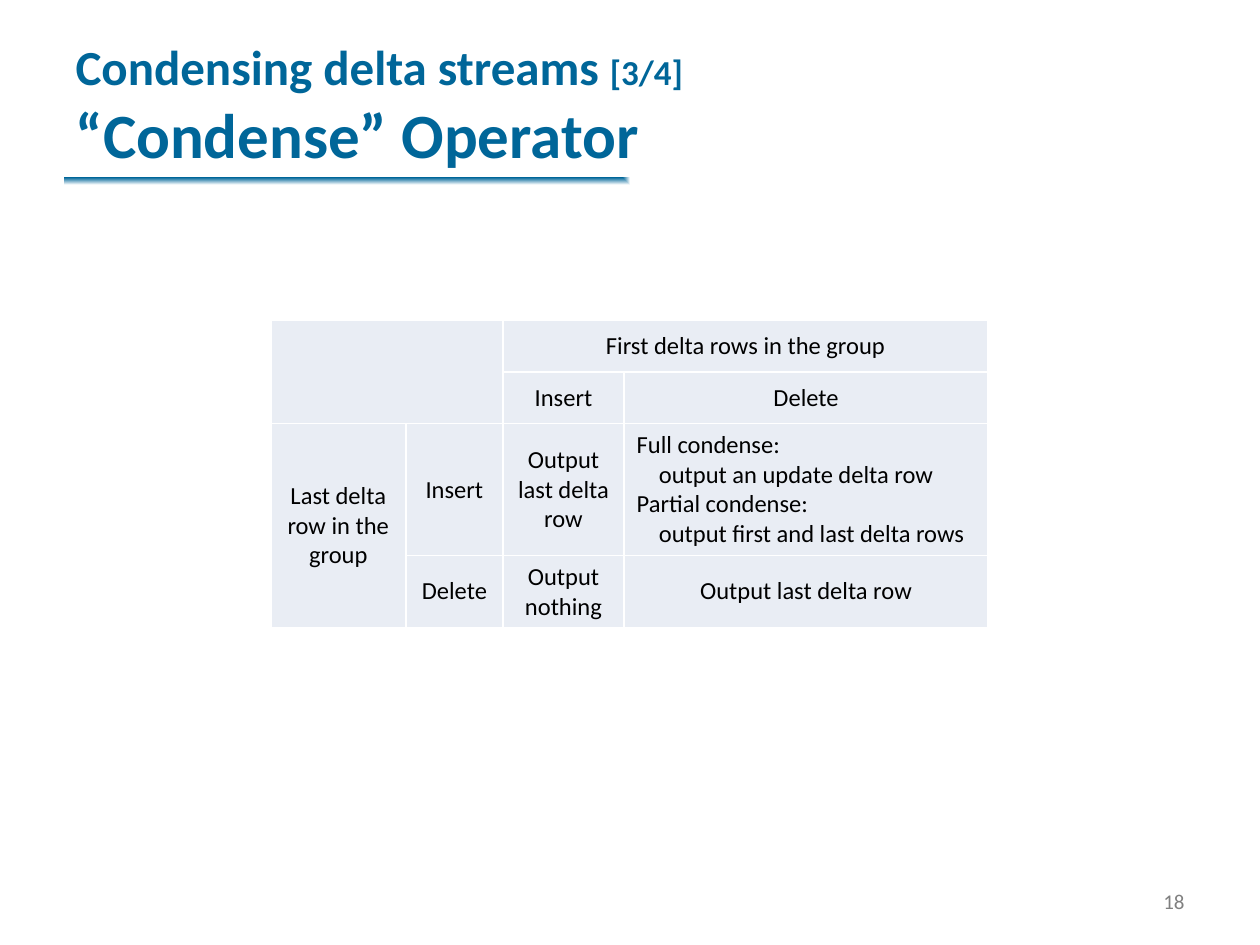
from dataclasses import dataclass

from pptx import Presentation, oxml
from pptx.dml.color import RGBColor
from pptx.enum import shapes, text
from pptx.oxml import ns
from pptx.util import Cm, Pt

FONT = "Calibri"
BLUE, WHITE, BLACK, GRAY, PALE = "006699", "FFFFFF", "000000", "808080", "E9EDF4"
COLUMN_WIDTHS = (2.72, 1.96, 2.44, 7.34)
ROW_HEIGHTS = (1.04, 1.04, 2.66, 1.45)
INDENT = Cm(0.45)


@dataclass
class Line:
    wording: str
    indented: bool = False


@dataclass
class Entry:
    row: int
    column: int
    lines: tuple[Line, ...] = ()
    rows: int = 1
    columns: int = 1
    align: text.PP_ALIGN = text.PP_ALIGN.CENTER


CONDENSE_RULES = (
    Line("Full condense:"),
    Line("output an update delta row", True),
    Line("Partial condense:"),
    Line("output first and last delta rows", True),
)
ENTRIES = (
    Entry(0, 0, rows=2, columns=2),
    Entry(0, 2, (Line("First delta rows in the group"),), columns=2),
    Entry(1, 2, (Line("Insert"),)),
    Entry(1, 3, (Line("Delete"),)),
    Entry(2, 0, (Line("Last delta row in the group"),), rows=2),
    Entry(2, 1, (Line("Insert"),)),
    Entry(2, 2, (Line("Output last delta row"),)),
    Entry(2, 3, CONDENSE_RULES, align=text.PP_ALIGN.JUSTIFY),
    Entry(3, 1, (Line("Delete"),)),
    Entry(3, 2, (Line("Output nothing"),)),
    Entry(3, 3, (Line("Output last delta row"),)),
)


def paint(color_format, color: str) -> None:
    color_format.rgb = RGBColor.from_string(color)


def add_run(paragraph, wording: str, size: float, color: str, bold: bool = False) -> None:
    run = paragraph.add_run()
    run.text = wording
    run.font.name = FONT
    run.font.size = Pt(size)
    run.font.bold = bold
    paint(run.font.color, color)


def add_rule(slide) -> None:
    rule = slide.shapes.add_shape(
        shapes.MSO_SHAPE.RECTANGLE, Cm(1.3), Cm(3.58), Cm(22.81), Cm(0.3)
    )
    rule.shadow.inherit = False
    rule.line.fill.background()
    rule.fill.gradient()
    for stop, color, position in zip(rule.fill.gradient_stops, (BLUE, WHITE), (0, 1)):
        paint(stop.color, color)
        stop.position = position
    gradient = rule.element.spPr.find(ns.qn("a:gradFill"))
    gradient.remove(gradient.find(ns.qn("a:lin")))
    gradient.append(oxml.parse_xml(
        f'<a:path {ns.nsdecls("a")} path="rect">'
        '<a:fillToRect r="100000" b="100000"/></a:path>'
    ))


def add_title(slide) -> None:
    title = slide.shapes.title
    title.left, title.top, title.width, title.height = Cm(1.27), 0, Cm(22.86), Cm(3.58)
    frame = title.text_frame
    frame.auto_size = text.MSO_AUTO_SIZE.NONE
    frame.vertical_anchor = text.MSO_ANCHOR.BOTTOM
    heading = frame.paragraphs[0]
    heading.alignment = text.PP_ALIGN.LEFT
    add_run(heading, "Condensing delta streams ", 28, BLUE, True)
    add_run(heading, "[3/4]", 20, BLUE, True)
    heading.add_line_break()
    add_run(heading, "“Condense” Operator", 36, BLUE, True)


def add_page_number(slide) -> None:
    page = slide.shapes.add_textbox(Cm(22.81), Cm(17.65), Cm(1.32), Cm(1.02))
    frame = page.text_frame
    frame.word_wrap = True
    frame.vertical_anchor = text.MSO_ANCHOR.MIDDLE
    frame.paragraphs[0].alignment = text.PP_ALIGN.RIGHT
    add_run(frame.paragraphs[0], "18", 12, GRAY)


def style_cell(cell) -> None:
    properties = cell._tc.get_or_add_tcPr()
    for side in ("lnL", "lnR", "lnT", "lnB"):
        properties.append(oxml.parse_xml(
            f'<a:{side} {ns.nsdecls("a")} w="{Pt(1)}"><a:solidFill>'
            f'<a:srgbClr val="{WHITE}"/></a:solidFill></a:{side}>'
        ))
    cell.fill.solid()
    paint(cell.fill.fore_color, PALE)
    cell.vertical_anchor = text.MSO_ANCHOR.MIDDLE


def fill_entry(table, entry: Entry) -> None:
    cell = table.cell(entry.row, entry.column)
    if entry.rows * entry.columns > 1:
        cell.merge(table.cell(
            entry.row + entry.rows - 1, entry.column + entry.columns - 1
        ))
    frame = cell.text_frame
    for index, line in enumerate(entry.lines):
        paragraph = frame.add_paragraph() if index else frame.paragraphs[0]
        paragraph.alignment = entry.align
        if line.indented:
            paragraph._p.get_or_add_pPr().set("marL", str(INDENT))
        add_run(paragraph, line.wording, 14, BLACK)


def add_condense_table(slide) -> None:
    table = slide.shapes.add_table(
        len(ROW_HEIGHTS), len(COLUMN_WIDTHS), Cm(5.46), Cm(6.46),
        Cm(sum(COLUMN_WIDTHS)), Cm(sum(ROW_HEIGHTS)),
    ).table
    table.first_row = table.horz_banding = False
    for column, width in zip(table.columns, COLUMN_WIDTHS):
        column.width = Cm(width)
    for row, height in zip(table.rows, ROW_HEIGHTS):
        row.height = Cm(height)
    for cell in table.iter_cells():
        style_cell(cell)
    for entry in ENTRIES:
        fill_entry(table, entry)


def main() -> None:
    deck = Presentation()
    deck.slide_width, deck.slide_height = Cm(25.4), Cm(19.05)
    slide = deck.slides.add_slide(deck.slide_layouts[5])
    add_rule(slide)
    add_title(slide)
    add_page_number(slide)
    add_condense_table(slide)
    deck.save("out.pptx")


if __name__ == "__main__":
    main()
